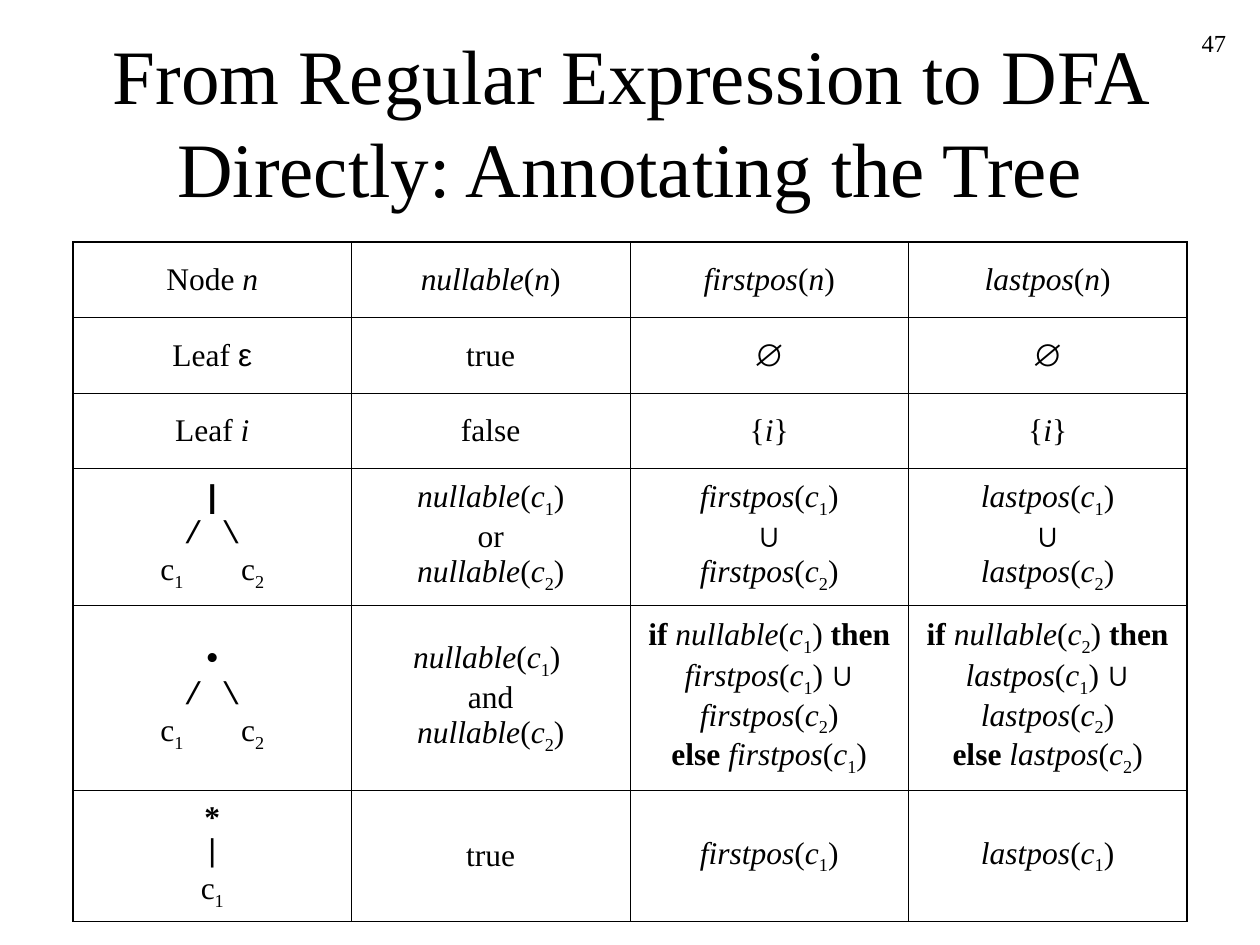
from copy import deepcopy
from lxml import etree
from pptx import Presentation
from pptx import util as u
from pptx.dml.color import RGBColor
from pptx.enum import text as t
from pptx.oxml import ns

INK = "000000"
SERIF, SANS, MONO = "Times New Roman", "Arial", "Courier New"
STYLES = {
    "n": {},
    "i": {"italic": True},
    "b": {"bold": True},
    "sub": {},
    "sans": {"name": SANS},
    "mono": {"name": MONO},
    "root": {"name": MONO, "bold": True},
}
ROWS = [0.6, 0.6, 0.6, 1.08, 1.47, 1.04]
COL = 2.21
THICK, THIN = 1.08, 0.45
CUP = ("∪", "sans")
SPACE = ("\u0020", "n")
BREAK = ("\n", "n")


def paint(color, value):
    color.rgb = RGBColor.from_string(value)


def style(font, size, values):
    for key, val in {"name": SERIF, "size": u.Pt(size), **values}.items():
        setattr(font, key, val)
    paint(font.color, INK)


def write(para, runs, size, align):
    para.alignment = align
    for words, kind in runs:
        for n, part in enumerate(words.split("\n")):
            if n:
                para.add_line_break()
                mark = para._p.findall(ns.qn("a:br"))[-1]
                run = para.add_run()
                style(run.font, size, STYLES[kind])
                mark.append(deepcopy(run._r.rPr))
                para._p.remove(run._r)
            if part:
                run = para.add_run()
                run.text = part
                style(run.font, size, STYLES[kind])
                if kind == "sub":
                    run._r.rPr.set("baseline", "-25000")


def label(slide, box, words, size, align, anchor):
    frame = slide.shapes.add_textbox(*map(u.Inches, box)).text_frame
    frame.word_wrap = True
    frame.vertical_anchor = anchor
    write(frame.paragraphs[0], [(words, "n")], size, align)


def child(num):
    return [("c", "n"), (num, "sub")]


def call(name, num=None):
    arg = [("c", "i"), (num, "sub")] if num else [("n", "i")]
    return [(name, "i"), ("(", "n"), *arg, (")", "n")]


def fork(root):
    return [(root + "\n", "root"), ("/ \\\n", "mono"),
            *child("1"), ("\t", "n"), *child("2")]


def both(name, link):
    return [*call(name, "1"), BREAK, link, BREAK, *call(name, "2")]


def choose(name, num):
    return [("if ", "b"), *call("nullable", num), SPACE, ("then ", "b"),
            *call(name, "1"), SPACE, ("∪ ", "sans"), *call(name, "2"), BREAK,
            ("else ", "b"), *call(name, num)]


def content():
    item = [("{", "n"), ("i", "i"), ("}", "n")]
    empty, true = [("∅", "sans")], [("true", "n")]
    star = [("*\n", "b"), ("|\n", "mono"), *child("1")]
    return [
        [[("Node ", "n"), ("n", "i")],
         call("nullable"), call("firstpos"), call("lastpos")],
        [[("Leaf ", "n"), ("ε", "sans")], true, empty, empty],
        [[("Leaf ", "n"), ("i", "i")], [("false", "n")], item, item],
        [fork("|"), both("nullable", ("or", "n")),
         both("firstpos", CUP), both("lastpos", CUP)],
        [fork("•"),
         [*call("nullable", "1"), (" \nand\n", "n"), *call("nullable", "2")],
         choose("firstpos", "1"), choose("lastpos", "2")],
        [star, true, call("firstpos", "1"), call("lastpos", "1")],
    ]


def border(cell, edges):
    props = cell._tc.get_or_add_tcPr()
    for n, (side, outer) in enumerate(edges.items()):
        line = etree.Element(ns.qn("a:ln" + side))
        line.set("w", str(u.Pt(THICK if outer else THIN)))
        fill = etree.SubElement(line, ns.qn("a:solidFill"))
        etree.SubElement(fill, ns.qn("a:srgbClr")).set("val", INK)
        props.insert(n, line)


def stop(para, inch):
    tabs = etree.SubElement(para._p.get_or_add_pPr(), ns.qn("a:tabLst"))
    tab = etree.SubElement(tabs, ns.qn("a:tab"))
    tab.set("pos", str(u.Inches(inch)))
    tab.set("algn", "l")


def grid(slide, rows):
    high, wide = len(rows), len(rows[0])
    box = (0.58, 1.92, COL * wide, sum(ROWS))
    table = slide.shapes.add_table(high, wide, *map(u.Inches, box)).table
    table.first_row = table.horz_banding = False
    for row, size in zip(table.rows, ROWS):
        row.height = u.Inches(size)
    for y, row in enumerate(rows):
        for x, runs in enumerate(row):
            cell = table.cell(y, x)
            cell.fill.background()
            cell.vertical_anchor = t.MSO_ANCHOR.MIDDLE
            border(cell, {"L": x == 0, "R": x == wide - 1,
                          "T": y == 0, "B": y == high - 1})
            para = cell.text_frame.paragraphs[0]
            para.space_before = u.Pt(4.5)
            if ("\t", "n") in runs:
                stop(para, 0.64)
            write(para, runs, 18, t.PP_ALIGN.CENTER)


def main():
    deck = Presentation()
    deck.slide_width, deck.slide_height = u.Inches(10), u.Inches(7.5)
    slide = deck.slides.add_slide(deck.slide_layouts[6])
    label(slide, (0.75, 0.33, 8.5, 1.25),
          "From Regular Expression to DFA Directly: Annotating the Tree",
          44, t.PP_ALIGN.CENTER, t.MSO_ANCHOR.MIDDLE)
    grid(slide, content())
    label(slide, (7.75, 0.17, 2.08, 0.5), "47",
          14, t.PP_ALIGN.RIGHT, t.MSO_ANCHOR.TOP)
    deck.save("out.pptx")


if __name__ == "__main__":
    main()
